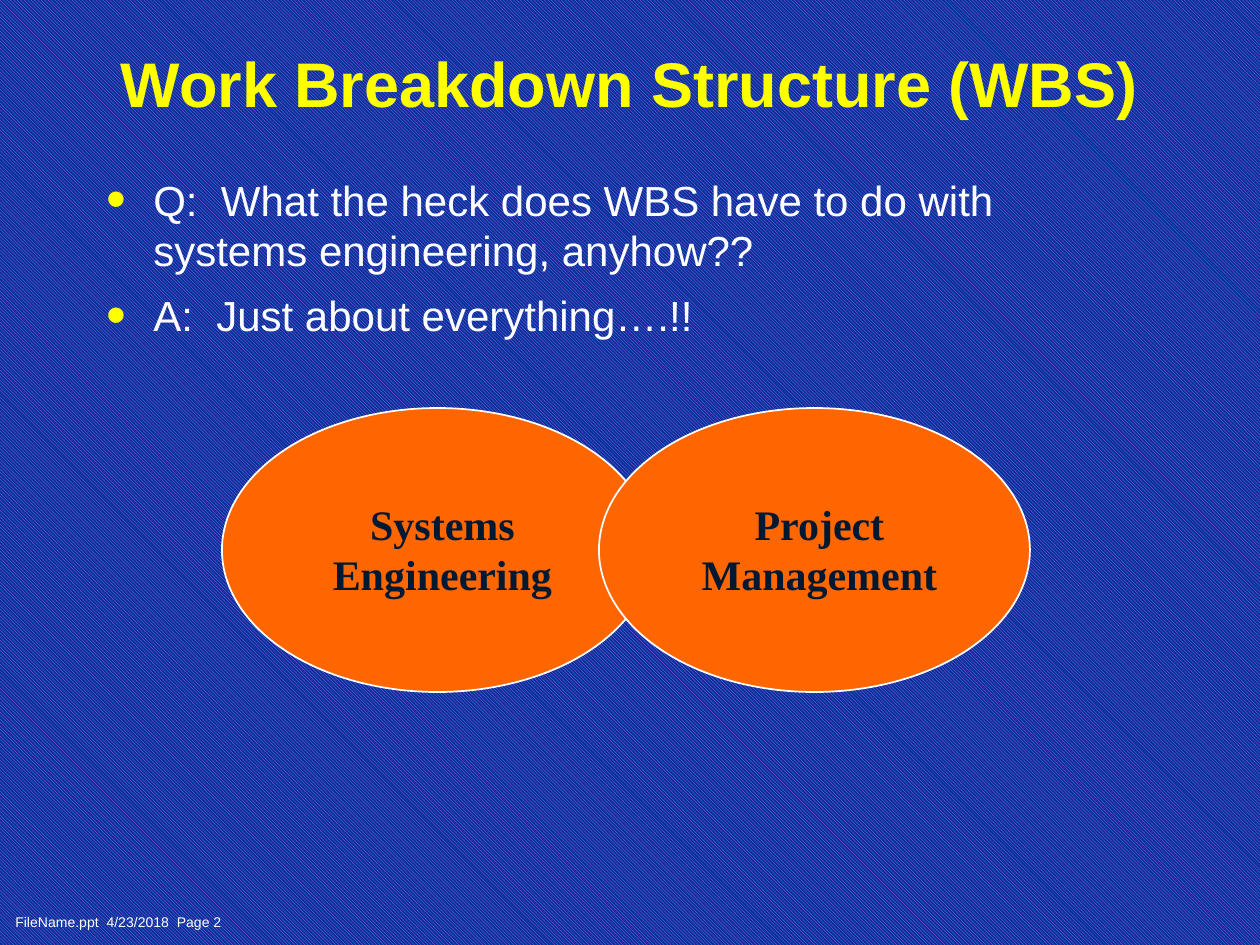
from lxml import etree
from pptx import Presentation
from pptx.dml.color import RGBColor
from pptx.enum.dml import MSO_PATTERN
from pptx.enum.shapes import MSO_SHAPE
from pptx.enum.text import MSO_ANCHOR, PP_ALIGN
from pptx.oxml.ns import qn
from pptx.util import Emu, Pt

PX = 914400 // 126
COLORS = {
    "stripe": "CC66FF",
    "ground": "003399",
    "accent": "FFFF00",
    "light": "FFFFFF",
    "oval": "FF6600",
    "ink": "001932",
}
OVAL_WIDTH, OVAL_HEIGHT = 431, 284
LABEL_WIDTH, LABEL_HEIGHT = 315, 115


def px(*lengths):
    return [Emu(length * PX) for length in lengths]


def color(name):
    return RGBColor.from_string(COLORS[name])


def style(paragraph, size, color_name, font="Arial", bold=False):
    paragraph.font.name = font
    paragraph.font.size = Pt(size)
    paragraph.font.bold = bold
    paragraph.font.color.rgb = color(color_name)


def add_text(shapes, box, text, wrap=True):
    """Add a text box with one paragraph per line and return its paragraphs."""
    frame = shapes.add_textbox(*px(*box)).text_frame
    frame.word_wrap = wrap
    frame.text = text
    return frame.paragraphs


def set_background(slide):
    fill = slide.background.fill
    fill.patterned()
    fill.pattern = MSO_PATTERN.DARK_DOWNWARD_DIAGONAL
    fill.fore_color.rgb = color("stripe")
    fill.back_color.rgb = color("ground")


def set_title(slide, text):
    title = slide.shapes.title
    title.left, title.top, title.width, title.height = px(94, 53, 1071, 73)
    frame = title.text_frame
    frame.text = text
    frame.word_wrap = True
    frame.vertical_anchor = MSO_ANCHOR.BOTTOM
    heading = frame.paragraphs[0]
    heading.alignment = PP_ALIGN.CENTER
    style(heading, 36, "accent", bold=True)


def add_bullet(paragraph, indent):
    properties = paragraph._p.get_or_add_pPr()
    properties.set("marL", str(indent))
    properties.set("indent", str(-indent))
    bullet_color = etree.SubElement(properties, qn("a:buClr"))
    etree.SubElement(bullet_color, qn("a:srgbClr"), val=COLORS["accent"])
    etree.SubElement(properties, qn("a:buSzPct"), val="135000")
    etree.SubElement(properties, qn("a:buFont"), typeface="Arial")
    etree.SubElement(properties, qn("a:buChar"), char="•")


def add_bullets(slide, lines):
    for paragraph in add_text(slide.shapes, (94, 168, 1071, 210), "\n".join(lines)):
        paragraph.space_before = Pt(8.4)
        add_bullet(paragraph, px(47)[0])
        style(paragraph, 24, "light")


def add_discipline(slide, left, top, name):
    """Group an oval with the label centred on it."""
    group = slide.shapes.add_group_shape()
    oval = group.shapes.add_shape(
        MSO_SHAPE.OVAL, *px(left, top, OVAL_WIDTH, OVAL_HEIGHT))
    oval.shadow.inherit = False
    oval.fill.solid()
    oval.fill.fore_color.rgb = color("oval")
    oval.line.color.rgb = color("light")
    oval.line.width = Pt(1)
    label_left = left + (OVAL_WIDTH - LABEL_WIDTH) // 2 + 5
    label_top = top + (OVAL_HEIGHT - LABEL_HEIGHT) // 2
    label = add_text(
        group.shapes, (label_left, label_top, LABEL_WIDTH, LABEL_HEIGHT), name)[0]
    label.alignment = PP_ALIGN.CENTER
    style(label, 24, "ink", "Times New Roman", bold=True)


def add_footer(slide, text):
    footer = add_text(slide.shapes, (3, 907, 241, 29), text, wrap=False)[0]
    style(footer, 8, "light")


def main():
    deck = Presentation()
    deck.slide_width, deck.slide_height = px(1260, 945)
    slide = deck.slides.add_slide(deck.slide_layouts[5])
    set_background(slide)
    add_footer(slide, "FileName.ppt  4/23/2018  Page 2")
    set_title(slide, "Work Breakdown Structure (WBS)")
    add_bullets(slide, [
        "Q:  What the heck does WBS have to do with systems engineering, anyhow??",
        "A:  Just about everything….!!",
    ])
    for left, name in ((222, "Systems Engineering"), (599, "Project Management")):
        add_discipline(slide, left, 408, name)
    deck.save("out.pptx")


if __name__ == "__main__":
    main()
